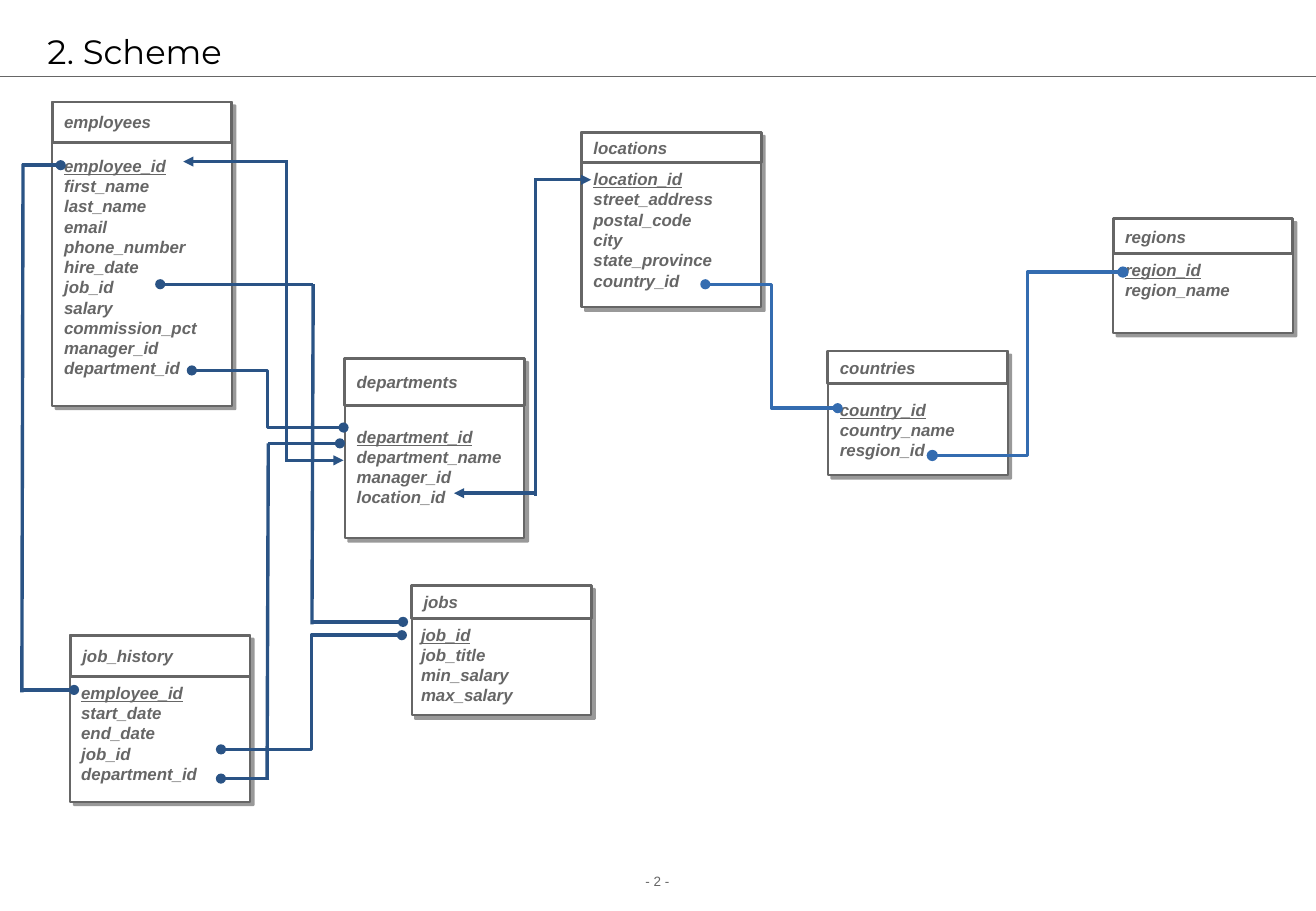
from lxml.etree import SubElement as Sub
from pptx import Presentation
from pptx.dml.color import RGBColor
from pptx.enum.shapes import MSO_CONNECTOR as LINK, MSO_SHAPE as SHAPE
from pptx.enum.text import MSO_ANCHOR as ANCHOR, MSO_AUTO_SIZE as FIT, PP_ALIGN as ALIGN
from pptx.oxml.ns import qn
from pptx.util import Inches, Pt

GREY = RGBColor(0x66, 0x66, 0x66)
WHITE = RGBColor(0xFF, 0xFF, 0xFF)
BLACK = RGBColor(0, 0, 0)
NAVY = RGBColor(0x2A, 0x53, 0x85)
BLUE = RGBColor(0x34, 0x6C, 0xB0)

WIDTH = 1.48
TITLE = dict(name="Montserrat", size=Pt(20), bold=False)
FIELD = dict(name="Arial", size=Pt(10), bold=True, italic=True)
PAGE = dict(name="Arial", size=Pt(8))

# name, left, top, height, head height, text left, text top, fields
TABLES = [
    ("countries", 6.82, 2.89, 1.02, 0.27, 6.82, 3.24,
     "country_id country_name resgion_id"),
    ("regions", 9.17, 1.8, 0.94, 0.29, 9.17, 2.09,
     "region_id region_name"),
    ("locations", 4.79, 1.09, 1.44, 0.25, 4.79, 1.34,
     "location_id street_address postal_code city state_province country_id"),
    ("departments", 2.84, 2.95, 1.48, 0.39, 2.84, 3.46,
     "department_id department_name manager_id location_id"),
    ("jobs", 3.39, 4.82, 1.07, 0.27, 3.37, 5.09,
     "job_id job_title min_salary max_salary"),
    ("employees", 0.43, 0.84, 2.5, 0.33, 0.43, 1.23,
     "employee_id first_name last_name email phone_number hire_date job_id "
     "salary commission_pct manager_id department_id"),
    ("job_history", 0.58, 5.23, 1.37, 0.34, 0.57, 5.57,
     "employee_id start_date end_date job_id department_id"),
]

# start, end, colour, line width
ELBOWS = [
    ((5.81, 2.34), (6.9, 3.36), BLUE, 2),
    ((7.68, 3.75), (9.25, 2.24), BLUE, 2.25),
    ((1.58, 3.05), (2.83, 3.52), NAVY, 2),
    ((1.82, 6.17), (3.31, 5.23), NAVY, 2),
]

# start, end, mark at the end
LINES = [
    ((4.4, 1.48), (4.87, 1.48), "triangle"),
    ((4.41, 4.06), (3.74, 4.06), "triangle"),
    ((4.41, 1.48), (4.41, 4.08), None),
    ((2.36, 3.79), (2.83, 3.79), "triangle"),
    ((2.36, 1.32), (2.36, 3.8), None),
    ((2.37, 1.33), (1.51, 1.33), "triangle"),
    ((0.19, 1.35), (0.18, 5.7), None),
    ((0.18, 1.36), (0.5, 1.36), "oval"),
    ((0.18, 5.68), (0.61, 5.68), "oval"),
    ((2.22, 6.41), (1.82, 6.41), "oval"),
    ((2.21, 3.65), (2.2, 6.41), None),
    ((2.58, 2.34), (1.32, 2.34), "oval"),
    ((2.58, 2.34), (2.57, 5.14), None),
    ((2.57, 5.12), (3.32, 5.12), "oval"),
    ((2.21, 3.65), (2.8, 3.65), "oval"),
]


def style(para, form, color, align=ALIGN.LEFT):
    para.alignment = align
    for key, value in form.items():
        setattr(para.font, key, value)
    para.font.color.rgb = color


def add_box(shapes, left, top, height, weight):
    box = shapes.add_shape(SHAPE.RECTANGLE, Inches(left), Inches(top),
                           Inches(WIDTH), Inches(height))
    box.shadow.inherit = False
    box.fill.solid()
    box.fill.fore_color.rgb = WHITE
    box.line.color.rgb = GREY
    box.line.width = Pt(weight)
    return box


def add_text(shapes, left, top, width, height):
    box = shapes.add_textbox(Inches(left), Inches(top), Inches(width), Inches(height))
    frame = box.text_frame
    frame.word_wrap = True
    frame.auto_size = FIT.SHAPE_TO_FIT_TEXT
    return frame


def cast_shadow(box):
    effects = box._element.spPr.find(qn("a:effectLst"))
    shadow = Sub(effects, qn("a:outerShdw"), dist=str(Pt(3)), dir="2700000",
                 algn="tl", rotWithShape="0")
    color = Sub(shadow, qn("a:srgbClr"), val=str(BLACK))
    Sub(color, qn("a:alpha"), val="40000")


def add_table_box(slide, name, left, top, height, head, text_x, text_y, fields):
    """Draw one database table; its first field is the underlined key."""
    shapes = slide.shapes.add_group_shape().shapes
    cast_shadow(add_box(shapes, left, top, height, 1.25))
    frame = add_box(shapes, left, top, head, 1.75).text_frame
    frame.vertical_anchor = ANCHOR.MIDDLE
    frame.text = name
    style(frame.paragraphs[0], FIELD, GREY)

    names = fields.split()
    frame = add_text(shapes, text_x, text_y, WIDTH, 0.1 + 0.167 * len(names))
    frame.text = "\n".join(names)
    for para in frame.paragraphs:
        style(para, FIELD, GREY)
    frame.paragraphs[0].font.underline = True


def add_link(slide, kind, start, end, color, weight, head=None, tail=None):
    ends = [Inches(value) for value in start + end]
    link = slide.shapes.add_connector(kind, *ends)
    link.line.color.rgb = color
    link.line.width = Pt(weight)
    props = link._element.spPr
    for tag, mark in (("a:headEnd", head), ("a:tailEnd", tail)):
        if mark:
            Sub(props.find(qn("a:ln")), qn(tag), type=mark)
    Sub(props, qn("a:effectLst"))


def add_title(slide, text):
    title = slide.shapes.title
    place = dict(left=0.29, top=0.21, width=10.17, height=0.42)
    for key, value in place.items():
        setattr(title, key, Inches(value))
    frame = title.text_frame
    frame.text = text
    frame.vertical_anchor = ANCHOR.MIDDLE
    frame.auto_size = FIT.NONE
    style(frame.paragraphs[0], TITLE, BLACK)


def add_page(slide, text):
    frame = add_text(slide.shapes, 0, 7.14, 10.83, 0.24)
    frame.text = text
    style(frame.paragraphs[0], PAGE, GREY, ALIGN.CENTER)


def main():
    deck = Presentation()
    deck.slide_width, deck.slide_height = Inches(10.84), Inches(7.5)
    slide = deck.slides.add_slide(deck.slide_layouts[5])
    add_page(slide, "- 2 -")
    add_link(slide, LINK.STRAIGHT, (0, 0.63), (10.84, 0.63), GREY, 0.75)
    add_title(slide, "2. Scheme")
    for table in TABLES:
        add_table_box(slide, *table)
    for elbow in ELBOWS:
        add_link(slide, LINK.ELBOW, *elbow, head="oval", tail="oval")
    for start, end, mark in LINES:
        add_link(slide, LINK.STRAIGHT, start, end, NAVY, 2, tail=mark)
    deck.save("out.pptx")


if __name__ == "__main__":
    main()
